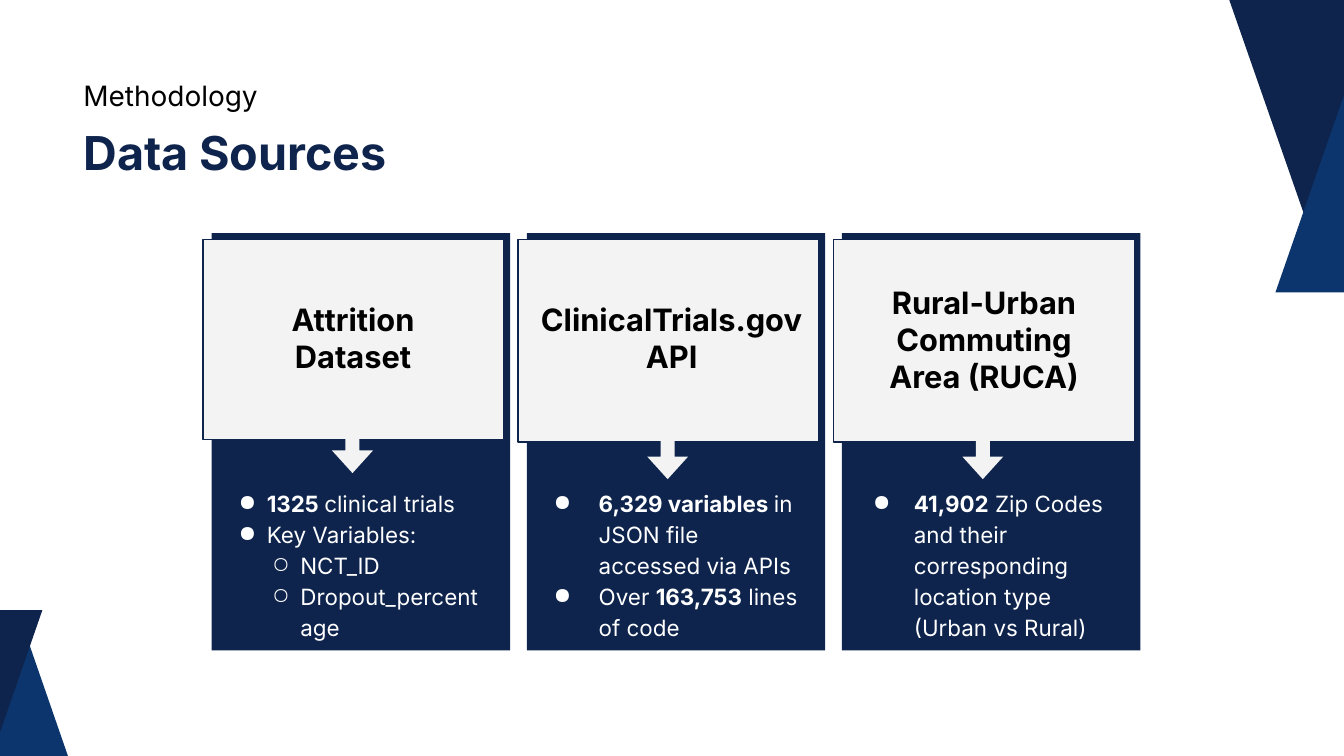
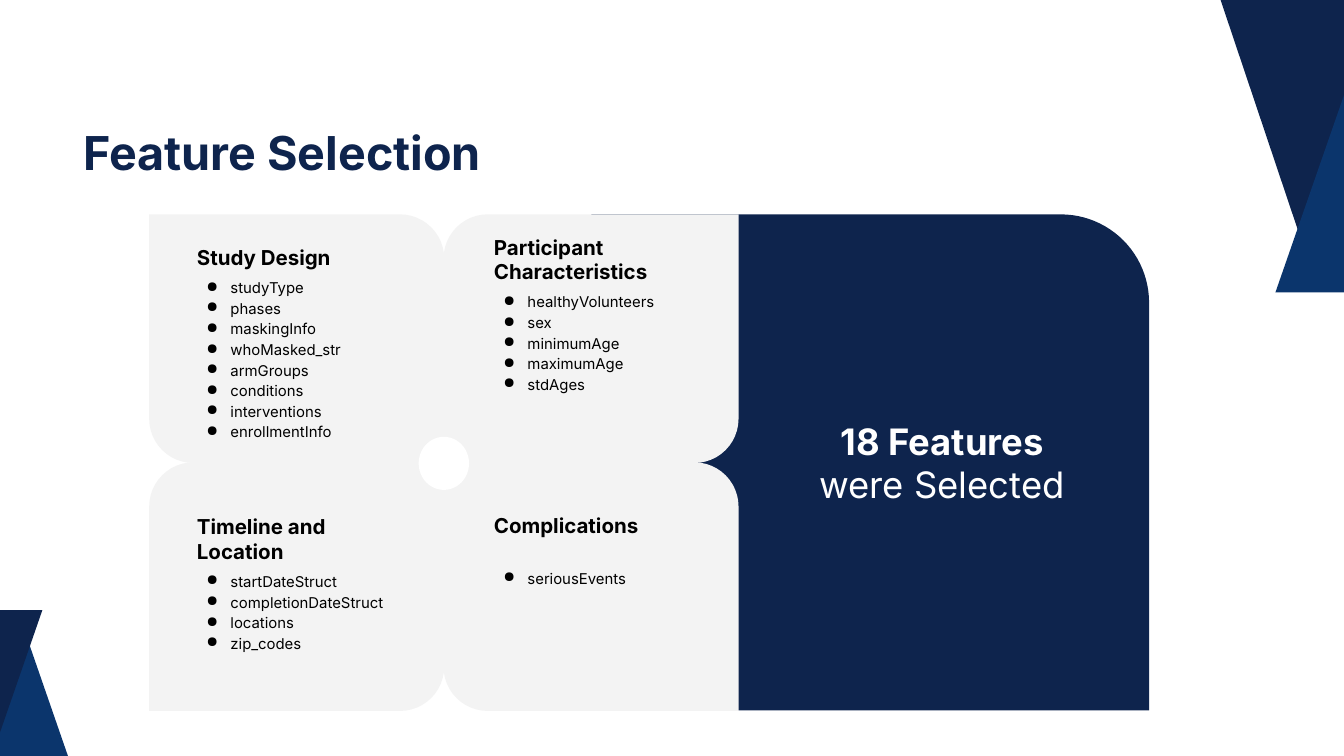
from lxml.etree import SubElement
from pptx import Presentation
from pptx.dml.color import RGBColor
from pptx.enum.shapes import MSO_SHAPE as Kind
from pptx.enum.text import MSO_ANCHOR as Anchor, MSO_AUTO_SIZE as Auto, PP_ALIGN as Align
from pptx.oxml.ns import qn
from pptx.util import Inches, Pt

NAVY = RGBColor(0x0E, 0x24, 0x4D)
BLUE = RGBColor(0x0B, 0x35, 0x6C)
PALE = RGBColor(0xF3, 0xF3, 0xF3)
WHITE = RGBColor(0xFF, 0xFF, 0xFF)
BLACK = RGBColor(0, 0, 0)
FONT = "Inter"
PAD = 0.2
ROUND = 0.178

# Source cards: heading, heading box, panel height, arrow top, list box (left, width),
# list hang, and (level, text) items; *stars* mark bold
CARDS = [
    ("Attrition Dataset", (3.27, 3.76, 3.97, 2.53), 2.98, 6.44, (3.27, 4.19), 0.42,
     [(0, "*1325 *clinical trials"), (0, "Key Variables:"),
      (1, "NCT_ID"), (1, "Dropout_percentage")]),
    ("ClinicalTrials.gov API", (7.84, 3.76, 4.31, 2.53), 3.02, 6.53, (7.71, 4.44), 0.67,
     [(0, "*6,329 variables *in JSON file accessed via APIs"),
      (0, "Over *163,753* lines of code")]),
    ("Rural-Urban Commuting Area (RUCA)", (12.66, 3.81, 3.97, 2.48), 3.02, 6.53,
     (12.4, 4.44), 0.61,
     [(0, "*41,902* Zip Codes and their corresponding location type (Urban vs Rural)")]),
]

# Feature groups: column, row, heading, heading anchor, list top, list height, names
GROUPS = [
    (1, 0, "Participant Characteristics", Anchor.TOP, 4.12, 1.95,
     ["healthyVolunteers", "sex", "minimumAge", "maximumAge", "stdAges"]),
    (0, 0, "Study Design", Anchor.MIDDLE, 3.91, 3,
     ["studyType", "phases", "maskingInfo", "whoMasked_str", "armGroups",
      "conditions", "interventions", "enrollmentInfo"]),
    (0, 1, "Timeline and Location", Anchor.TOP, 8.28, 1.95,
     ["startDateStruct", "completionDateStruct", "locations", "zip_codes"]),
    (1, 1, "Complications", Anchor.TOP, 8.28, 1.21, ["seriousEvents"]),
]


def paint(shape, fill, line=None):
    shape.shadow.inherit = False
    shape.fill.solid()
    shape.fill.fore_color.rgb = fill
    if line is None:
        shape.line.fill.background()
    else:
        shape.line.color.rgb = line
        shape.line.width = Pt(1.5)


def add_box(slide, kind, box, fill, line=None, adjust=()):
    shape = slide.shapes.add_shape(kind, *map(Inches, box))
    for i, value in enumerate(adjust):
        shape.adjustments[i] = value
    paint(shape, fill, line)
    return shape


def add_peak(slide, tip, left, right, base, fill):
    """Draw a triangle from its tip and its level base."""
    form = slide.shapes.build_freeform(Inches(tip[0]), Inches(tip[1]))
    form.add_line_segments([(Inches(right), Inches(base)), (Inches(left), Inches(base))])
    paint(form.convert_to_shape(), fill)


def add_frame(slide, box, pad=PAD, anchor=Anchor.TOP):
    frame = slide.shapes.add_textbox(*map(Inches, box)).text_frame
    frame.word_wrap = True
    frame.vertical_anchor = anchor
    frame.margin_left = frame.margin_right = Inches(pad)
    frame.margin_top = frame.margin_bottom = Inches(pad)
    return frame


def add_runs(para, text, size, color, bold=False):
    """Fill a paragraph; parts between stars turn bold."""
    for i, part in enumerate(text.split("*")):
        if part:
            run = para.add_run()
            run.text = part
            font = run.font
            font.name, font.size, font.bold = FONT, Pt(size), bold or i % 2 == 1
            font.color.rgb = color


def add_text(slide, box, text, size, color, bold=False, align=Align.LEFT,
             anchor=Anchor.TOP):
    para = add_frame(slide, box, anchor=anchor).paragraphs[0]
    para.alignment = align
    add_runs(para, text, size, color, bold)


def add_head(slide, box, text, size, color, bold=False):
    frame = add_frame(slide, box, pad=0)
    frame.auto_size = Auto.SHAPE_TO_FIT_TEXT
    para = frame.paragraphs[0]
    para.line_spacing = 1.1
    add_runs(para, text, size, color, bold)


def set_bullet(para, level, hang, color):
    para.level = level
    para.line_spacing = 1.15
    props = para._p.get_or_add_pPr()
    props.set("marL", str(Inches(0.5 * (level + 1) if hang < 0.5 else 1)))
    props.set("indent", str(-Inches(hang)))
    tint = SubElement(SubElement(props, qn("a:buClr")), qn("a:srgbClr"))
    tint.set("val", str(color))
    SubElement(props, qn("a:buChar")).set("char", "●○"[level])


def add_list(slide, box, items, size, color, hang):
    frame = add_frame(slide, box)
    for i, (level, text) in enumerate(items):
        para = frame.add_paragraph() if i else frame.paragraphs[0]
        set_bullet(para, level, hang, color)
        add_runs(para, text, size, color)


def add_base(deck, title, left, tip):
    """Start a slide with its title and corner peaks; left and tip place the top one."""
    slide = deck.slides.add_slide(deck.slide_layouts[6])
    add_head(slide, (1.24, 1.76, 16.19, 0.84), title, 50, NAVY, True)
    add_peak(slide, (0.44, 9.6), -0.36, 1.24, 11.91, BLUE)
    add_peak(slide, (0, 10.9), -0.64, 0.63, 9.08, NAVY)
    add_peak(slide, tip, left, 21.07, -1.47, NAVY)
    add_peak(slide, (20.03, 1.33), 18.98, 21.07, 4.35, BLUE)
    return slide


def add_card(slide, i, head, head_box, high, drop, span, hang, items):
    x = 3.15 + 4.69 * i
    add_box(slide, Kind.RECTANGLE, (x, 3.47, 4.44, 6.21), NAVY)
    add_box(slide, Kind.RECTANGLE, (x - 0.13, 3.56, 4.48, high), PALE, NAVY)
    add_text(slide, head_box, head, 33, BLACK, True, Align.CENTER, Anchor.MIDDLE)
    arrow = add_box(slide, Kind.RIGHT_ARROW, (x + 1.8, drop, 0.59, 0.61), PALE,
                    adjust=(0.342, 0.57))
    arrow.rotation = 90
    add_list(slide, (span[0], 7.04, span[1], 2.48), items, 24, WHITE, hang)


def add_group(slide, col, row, head, anchor, top, high, names):
    corners = (ROUND, 0) if col != row else (0, ROUND)
    add_box(slide, Kind.ROUND_2_DIAG_RECTANGLE,
            (2.22 + 4.38 * col, 3.19 + 3.69 * row, 4.39, 3.7), PALE, adjust=corners)
    x = 2.73 + 4.42 * col
    add_text(slide, (x, 3.29 + 4.16 * row, 3.27, 1.08), head, 22, BLACK, True,
             anchor=anchor)
    add_list(slide, (x, top, 3.27, high), [(0, name) for name in names], 16, BLACK, 0.36)


def add_sources(deck):
    slide = add_base(deck, "Data Sources", 17.78, (19.42, 3.23))
    add_head(slide, (1.24, 1.12, 5.04, 0.5), "Methodology", 30, BLACK)
    for i, card in enumerate(CARDS):
        add_card(slide, i, *card)


def add_features(deck):
    slide = add_base(deck, "Feature Selection", 17.67, (19.37, 3.59))
    add_box(slide, Kind.ROUND_2_DIAG_RECTANGLE, (8.8, 3.19, 8.3, 7.38), NAVY,
            adjust=(0, ROUND))
    add_text(slide, (11.74, 3.19, 4.56, 7.38), "*18 Features *were Selected", 39, WHITE,
             align=Align.CENTER, anchor=Anchor.MIDDLE)
    for group in GROUPS:
        add_group(slide, *group)
    add_box(slide, Kind.OVAL, (6.23, 6.5, 0.75, 0.79), WHITE)


def main():
    deck = Presentation()
    deck.slide_width, deck.slide_height = Inches(20), Inches(11.25)
    add_sources(deck)
    add_features(deck)
    deck.save("out.pptx")


if __name__ == "__main__":
    main()
